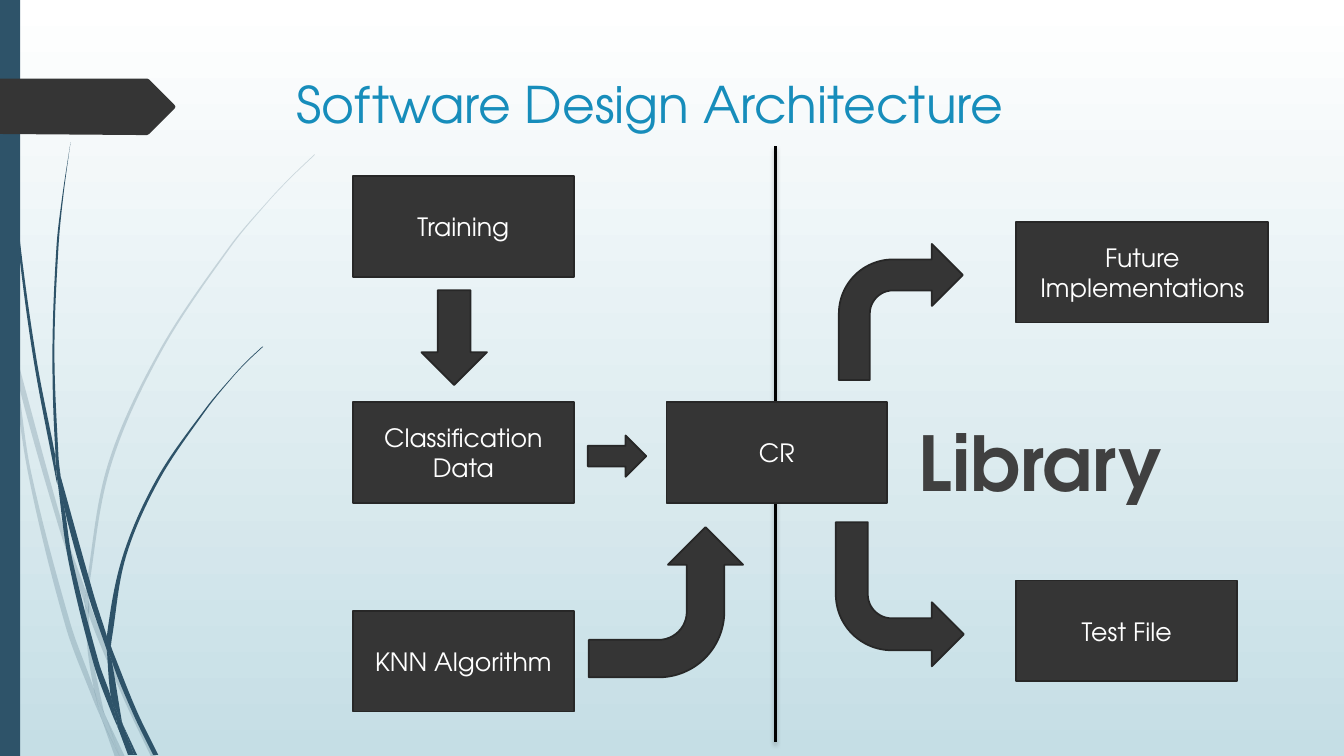
from collections import namedtuple

from lxml.etree import SubElement
from pptx import Presentation
from pptx.dml.color import RGBColor
from pptx.enum.dml import MSO_PATTERN as Pattern
from pptx.enum.shapes import MSO_CONNECTOR as Connector, MSO_SHAPE as Shape
from pptx.enum.text import MSO_ANCHOR as Anchor, MSO_AUTO_SIZE as AutoSize, PP_ALIGN as Align
from pptx.oxml.ns import qn
from pptx.util import Inches, Pt

Box = namedtuple("Box", "left top width height")


class Theme:
    font = "TeX Gyre Adventor"
    sky_top, sky_bottom = "FFFFFF", "C5DEE5"
    grass, dark, outline = "2E5369", "353535", "272727"
    title, light, divider = "178DBB", "FFFFFF", "000000"
    hatch, hatch_back = "808080", "404040"
    title_size, node_size, label_size = 36, 18, 54
    outline_width, divider_width = 1.25, 1.75


# Each blade piece is a left and a right edge, from top to bottom, as (x, y) points
PALE_BLADES = [
    ([(0, 2.82), (0, 2.99), (.1, 3.44), (.11, 3.5)], [(0, 2.82), (.09, 3.22), (.11, 3.5)]),
    ([(.14, 3.45), (.17, 3.76), (.58, 5.22), (.84, 5.99)], [(.14, 3.45), (.62, 5.2), (.85, 5.86)]),
    ([(.88, 5.96), (.88, 6.1), (1.23, 6.94), (1.5, 7.51)],
     [(.88, 5.96), (.92, 6.07), (1.27, 6.92), (1.55, 7.51)]),
    ([(1.05, 7.11), (1.19, 7.51)], [(1.05, 7.11), (1.24, 7.51)]),
    ([(.11, 3.5), (.28, 4.7), (.65, 6.21), (.92, 6.93), (1.01, 7.14)],
     [(.11, 3.5), (.17, 3.76), (.31, 4.69), (.7, 6.19), (.93, 6.83), (.99, 7.07), (1.01, 7.14)]),
    ([(.84, 5.99), (.87, 6.46), (.93, 6.83), (.96, 6.92), (1.05, 7.11)],
     [(.84, 5.99), (.88, 6.08), (.88, 6.1), (.91, 6.46), (1.03, 7.06), (1.05, 7.11)]),
    ([(3.12, 1.53), (2.89, 1.75), (2.68, 1.97), (2.28, 2.44), (1.58, 3.48), (1.07, 4.61),
      (.85, 5.84), (.85, 5.86), (.88, 5.96)],
     [(3.12, 1.54), (2.9, 1.75), (2.68, 1.98), (2.29, 2.45), (1.6, 3.49), (1.1, 4.62),
      (.88, 5.84), (.88, 5.96)]),
    ([(1.01, 7.14), (1.14, 7.51)], [(1.01, 7.14), (1.19, 7.51)]),
    ([(.85, 5.86), (.84, 5.99), (.88, 6.08), (.88, 6.1)], [(.85, 5.86), (.88, 5.96), (.88, 6.1)]),
    ([(.93, 6.83), (.99, 7.07), (1.01, 7.14), (1.19, 7.51)],
     [(.93, 6.83), (.96, 6.92), (1.05, 7.11), (1.19, 7.51)]),
]
DARK_BLADES = [
    ([(.03, 0), (.04, .48), (.07, 1.1), (.17, 2.33), (.33, 3.55), (.56, 4.77), (.57, 4.81)],
     [(.04, 0), (.05, .48), (.08, 1.09), (.19, 2.32), (.36, 3.55), (.55, 4.53), (.55, 4.57),
      (.57, 4.81)]),
    ([(.6, 4.72), (.64, 5.05), (.88, 5.92), (1.06, 6.45)],
     [(.6, 4.72), (.93, 5.9), (1.06, 6.31), (1.06, 6.33), (1.06, 6.45)]),
    ([(1.1, 6.41), (1.11, 6.56), (1.32, 7.08), (1.52, 7.49)],
     [(1.1, 6.41), (1.13, 6.49), (1.36, 7.06), (1.57, 7.49)]),
    ([(.57, 4.77), (.68, 5.57), (.93, 6.59), (1.11, 7.08), (1.17, 7.22)],
     [(.57, 4.77), (.64, 5.05), (.72, 5.56), (.98, 6.57), (1.1, 6.91), (1.16, 7.17), (1.17, 7.22)]),
    ([(.7, 1.41), (.62, 1.93), (.56, 2.45), (.52, 3.49), (.55, 4.49), (.6, 4.72)],
     [(.7, 1.41), (.63, 1.93), (.58, 2.45), (.54, 3.49), (.58, 4.53), (.6, 4.72)]),
    ([(1.22, 7.19), (1.33, 7.49)], [(1.22, 7.19), (1.36, 7.49)]),
    ([(.55, 4.49), (.55, 4.53), (.57, 4.77), (.64, 5.05)], [(.55, 4.49), (.6, 4.72), (.64, 5.05)]),
    ([(2.6, 3.44), (2.45, 3.58), (2.31, 3.73), (2.04, 4.05), (1.56, 4.74), (1.22, 5.51),
      (1.06, 6.31), (1.1, 6.41)],
     [(2.61, 3.44), (2.45, 3.59), (2.31, 3.74), (2.05, 4.06), (1.58, 4.76), (1.25, 5.52),
      (1.11, 6.33), (1.1, 6.41)]),
    ([(1.17, 7.22), (1.27, 7.49)], [(1.17, 7.22), (1.31, 7.49)]),
    ([(1.06, 6.45), (1.1, 6.91), (1.16, 7.06), (1.22, 7.19)],
     [(1.06, 6.45), (1.09, 6.51), (1.11, 6.56), (1.21, 7.16), (1.22, 7.19)]),
    ([(1.06, 6.31), (1.06, 6.45), (1.09, 6.51), (1.11, 6.56)],
     [(1.06, 6.31), (1.1, 6.41), (1.11, 6.56)]),
    ([(1.1, 6.91), (1.16, 7.17), (1.17, 7.22), (1.3, 7.49)],
     [(1.1, 6.91), (1.16, 7.06), (1.22, 7.19), (1.33, 7.49)]),
]
TAG = [(1.73, 1.08), (1.48, 1.33), (1.46, 1.34), (1.36, 1.34), (0, 1.33), (0, .78), (1.36, .78),
       (1.46, .78), (1.48, .79), (1.73, 1.04), (1.74, 1.06)]


def color(value):
    return RGBColor.from_string(value)


def place(box, left, top, width, height):
    return [Inches(n) for n in (box.left + left, box.top + top, width, height)]


def write(frame, text, size, fill=None, bold=False, align=Align.LEFT, anchor=Anchor.TOP,
          wrap=True, auto_size=AutoSize.NONE):
    frame.word_wrap, frame.auto_size, frame.vertical_anchor = wrap, auto_size, anchor
    paragraph = frame.paragraphs[0]
    paragraph.alignment = align
    run = paragraph.add_run()
    run.text = text
    run.font.name, run.font.size, run.font.bold = Theme.font, Pt(size), bold
    if fill:
        run.font.color.rgb = color(fill)
    return run


def paint(shape, fill, line=None, opacity=100):
    shape.shadow.inherit = False
    shape.fill.solid()
    shape.fill.fore_color.rgb = color(fill)
    if opacity < 100:
        tint = shape.element.spPr.find(qn("a:solidFill"))[0]
        SubElement(tint, qn("a:alpha"), val=str(opacity * 1000))
    if line:
        shape.line.color.rgb = color(line)
        shape.line.width = Pt(Theme.outline_width)
    else:
        shape.line.fill.background()


def bend(edge):
    """Bezier segments (control, control, end) that run smoothly through the edge."""
    def slope(index):
        (x0, y0), (x1, y1) = edge[max(index - 1, 0)], edge[min(index + 1, len(edge) - 1)]
        return (x1 - x0) / (y1 - y0)

    for index, ((x0, y0), (x1, y1)) in enumerate(zip(edge, edge[1:])):
        third = (y1 - y0) / 3
        yield ((x0 + slope(index) * third, y0 + third),
               (x1 - slope(index + 1) * third, y1 - third), (x1, y1))


def add_outline(slide, box, points, fill, opacity=100):
    corners = [(Inches(box.left + x), Inches(box.top + y)) for x, y in points]
    builder = slide.shapes.build_freeform(*corners[0])
    builder.add_line_segments(corners[1:], close=True)
    shape = builder.convert_to_shape()
    paint(shape, fill, opacity=opacity)
    return shape


def add_blade(slide, box, left_edge, right_edge, opacity):
    segments = list(bend(left_edge))
    foot = right_edge[-1]
    if foot != left_edge[-1]:
        segments.append((left_edge[-1], foot, foot))
    segments += bend(right_edge[::-1])
    points = [left_edge[0]] + [segment[-1] for segment in segments]
    shape = add_outline(slide, box, points, Theme.grass, opacity)
    # Turn the straight sides into curves
    for side, segment in zip(list(shape.element.iter(qn("a:lnTo"))), segments):
        side.tag = qn("a:cubicBezTo")
        side.clear()
        for x, y in segment:
            SubElement(side, qn("a:pt"), x=str(Inches(box.left + x) - shape.left),
                       y=str(Inches(box.top + y) - shape.top))


def draw_backdrop(slide, box):
    fill = slide.background.fill
    fill.gradient()
    fill.gradient_angle = 270
    for stop, value in zip(fill.gradient_stops, (Theme.sky_top, Theme.sky_bottom)):
        stop.color.rgb = color(value)
    for blades, opacity in ((PALE_BLADES, 20), (DARK_BLADES, 100)):
        for left_edge, right_edge in blades:
            add_blade(slide, box, left_edge, right_edge, opacity)
    # Side bar and tag
    bar = slide.shapes.add_shape(Shape.RECTANGLE, *place(box, 0, 0, .2, box.height))
    paint(bar, Theme.grass)
    add_outline(slide, box, TAG, Theme.dark)


def draw_title(slide, box, text):
    title = slide.shapes.title
    title.left, title.top, title.width, title.height = place(box, 0, 0, box.width, box.height)
    write(title.text_frame, text, Theme.title_size, fill=Theme.title)


def add_node(slide, box, text, left, top, width=2.19):
    node = slide.shapes.add_shape(Shape.RECTANGLE, *place(box, left, top, width, 1))
    paint(node, Theme.dark, Theme.outline)
    write(node.text_frame, text, Theme.node_size, fill=Theme.light,
          align=Align.CENTER, anchor=Anchor.MIDDLE)


def add_arrow(slide, box, kind, area, rotation=0, flip=None):
    arrow = slide.shapes.add_shape(kind, *place(box, *area))
    paint(arrow, Theme.dark, Theme.outline)
    arrow.rotation = rotation
    if flip:
        arrow.element.spPr.xfrm.set(flip, "1")


def add_divider(slide, box, left):
    x, top, _, height = place(box, left, 0, 0, box.height)
    divider = slide.shapes.add_connector(Connector.STRAIGHT, x, top, x, top + height)
    divider.line.color.rgb = color(Theme.divider)
    divider.line.width = Pt(Theme.divider_width)
    effects = SubElement(divider.element.spPr, qn("a:effectLst"))
    shadow = SubElement(effects, qn("a:outerShdw"), blurRad=str(Pt(3)), dist=str(Pt(2)),
                        dir="5400000", rotWithShape="0")
    tint = SubElement(shadow, qn("a:srgbClr"), val=Theme.divider)
    SubElement(tint, qn("a:alpha"), val="25000")


def draw_architecture(slide, box):
    middle, center, right = 2.54, 3.11, 6.58
    # Inputs and outputs
    for node in (("Training", 0, .3), ("Classification Data", 0, middle),
                 ("Test File", right, 4.31), ("Future Implementations", right, .75, 2.5),
                 ("KNN Algorithm", 0, 4.61)):
        add_node(slide, box, *node)
    # Arrows
    add_arrow(slide, box, Shape.DOWN_ARROW, (.68, 1.43, .65, .94))
    add_arrow(slide, box, Shape.RIGHT_ARROW, (2.33, 2.87, .58, .41))
    add_arrow(slide, box, Shape.BENT_ARROW, (4.82, .97, 1.23, 1.35))
    add_arrow(slide, box, Shape.BENT_ARROW, (4.79, 3.73, 1.27, 1.43), 180, "flipH")
    add_arrow(slide, box, Shape.BENT_ARROW, (2.36, 3.76, 1.49, 1.53), 270, "flipV")
    # Library boundary
    add_divider(slide, box, 4.19)
    add_node(slide, box, "CR", center, middle)
    label = slide.shapes.add_textbox(*place(box, 5.5, 2.63, 2.64, 1.01))
    run = write(label.text_frame, "Library", Theme.label_size, bold=True, align=Align.CENTER,
                wrap=False, auto_size=AutoSize.SHAPE_TO_FIT_TEXT)
    run.font.fill.patterned()
    run.font.fill.pattern = Pattern.DARK_UPWARD_DIAGONAL
    run.font.fill.fore_color.rgb = color(Theme.hatch)
    run.font.fill.back_color.rgb = color(Theme.hatch_back)


presentation = Presentation()
presentation.slide_width, presentation.slide_height = Inches(13.33), Inches(7.5)
slide = presentation.slides.add_slide(presentation.slide_layouts[5])
draw_backdrop(slide, Box(0, 0, 13.33, 7.5))
draw_title(slide, Box(2.84, .68, 9.75, 1.4), "Software Design Architecture")
draw_architecture(slide, Box(3.5, 1.45, 9.08, 5.91))
presentation.save("out.pptx")
